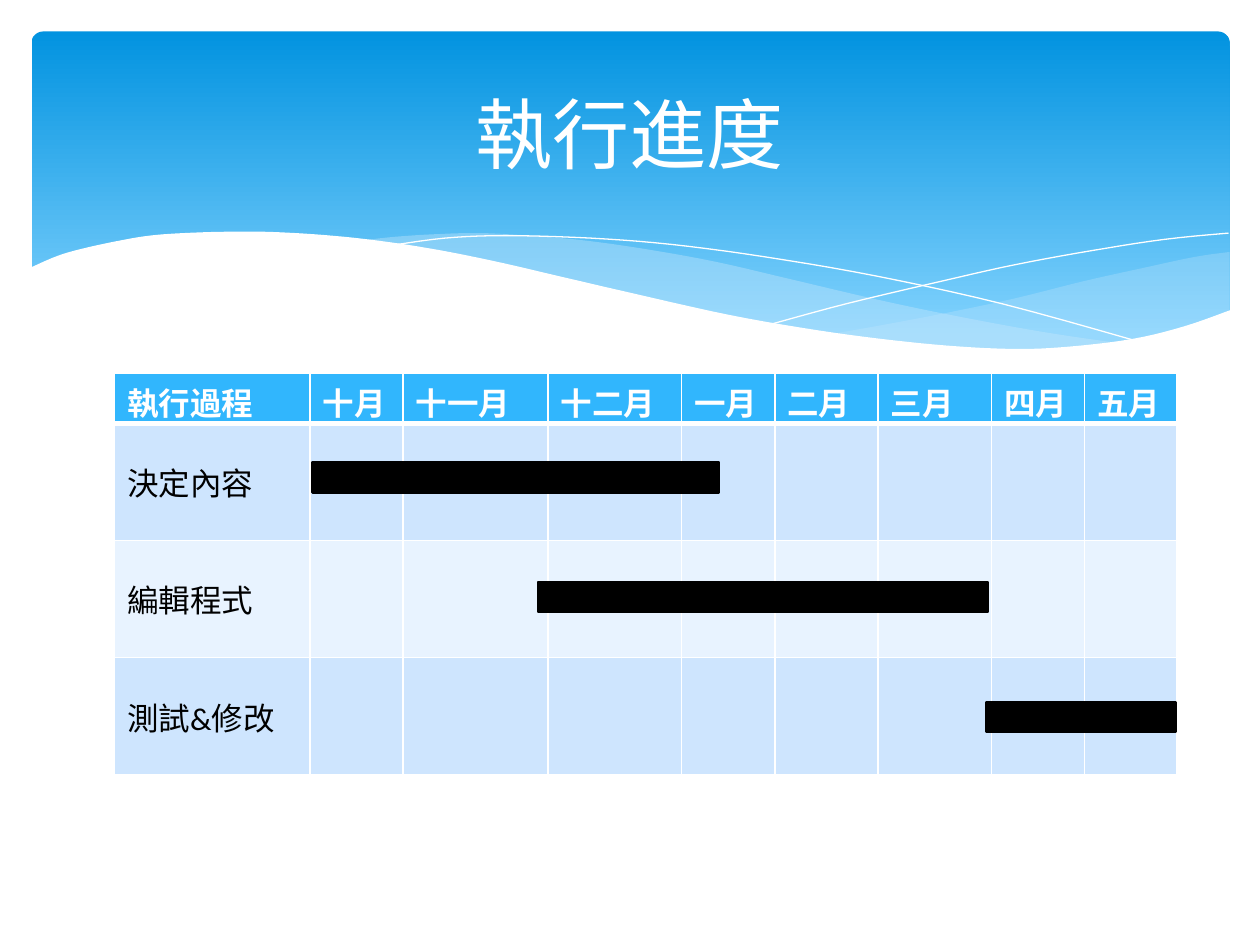
from lxml import etree
from pptx import Presentation
from pptx.dml.color import RGBColor
from pptx.enum.shapes import MSO_SHAPE
from pptx.enum.text import MSO_ANCHOR, PP_ALIGN
from pptx.oxml.ns import qn
from pptx.util import Inches, Pt

COLORS = {
    "sky_top": "0293E0", "sky_bottom": "83D3FE", "mist": "C6E7FC",
    "header": "31B6FD", "band_dark": "CEE5FE", "band_light": "E8F3FF",
    "white": "FFFFFF", "black": "000000",
}
FONT = "Calibri"
MONTHS = ["十月", "十一月", "十二月", "一月", "二月", "三月", "四月", "五月"]
TASKS = [("決定內容", 1.57, 3.23), ("編輯程式", 3.36, 3.57), ("測試&修改", 6.92, 1.5)]
COLUMN_WIDTHS = [1.55, 0.74, 1.15, 1.06, 0.74, 0.82, 0.9, 0.74, 0.73]
ROW_HEIGHTS = [0.39, 0.93, 0.93, 0.93]

RIGHT_MIST_TOP = [(9.76, 2), (9.48, 2.04), (9.06, 2.13), (8.61, 2.23), (8.05, 2.37),
                  (7.53, 2.48), (7.06, 2.57), (6.61, 2.65)]
RIGHT_MIST_BOTTOM = [(6.61, 2.65), (7.05, 2.71), (7.57, 2.76), (8.03, 2.78), (8.44, 2.77),
                     (8.81, 2.73), (9.13, 2.67), (9.42, 2.59), (9.76, 2.47)]
LEFT_MIST_TOP = [(8.93, 2.73), (8.37, 2.65), (7.75, 2.54), (7.06, 2.4), (6.29, 2.22),
                 (5.69, 2.08), (5.14, 1.98), (4.65, 1.91), (4.2, 1.87), (3.8, 1.85),
                 (3.44, 1.86), (3.13, 1.88), (2.86, 1.91)]
LEFT_MIST_BOTTOM = [(2.86, 1.91), (3.42, 1.99), (4.04, 2.11), (4.49, 2.22), (5.3, 2.4),
                    (6.01, 2.55), (6.65, 2.66), (7.22, 2.74), (7.73, 2.77), (8.18, 2.78),
                    (8.57, 2.77), (8.93, 2.73)]
FALLING_LINE = [(3.09, 1.95), (3.53, 1.89), (4.01, 1.87), (4.69, 1.89), (5.33, 1.94),
                (6.08, 2.04), (6.95, 2.19), (7.95, 2.41), (9.07, 2.72)]
RISING_LINE = [(6.13, 2.57), (6.72, 2.41), (7.48, 2.23), (8.06, 2.1), (8.66, 1.99),
               (9.24, 1.9), (9.75, 1.85)]
FRONT_WAVE = [(9.77, 2.46), (9.4, 2.59), (8.99, 2.69), (8.5, 2.75), (8.09, 2.77),
              (7.61, 2.75), (7.08, 2.7), (6.48, 2.62), (5.79, 2.5), (5.03, 2.33),
              (4.47, 2.2), (3.91, 2.07), (3.4, 1.97), (2.92, 1.9), (2.5, 1.86),
              (2.11, 1.84), (1.77, 1.84), (1.46, 1.85), (1.19, 1.87), (0.95, 1.91),
              (0.67, 1.97), (0.46, 2.03), (0.23, 2.13)]


def color(name):
    """Return the named colour."""
    return RGBColor.from_string(COLORS[name])


def smooth_curve(knots, steps=5):
    """Return points on a Catmull-Rom curve through the knots."""
    padded = [knots[0], *knots, knots[-1]]
    points = [knots[0]]
    for a, b, c, d in zip(padded, padded[1:], padded[2:], padded[3:]):
        for step in range(1, steps + 1):
            t = step / steps
            points.append(tuple(
                (2 * q + (r - p) * t + (2 * p - 5 * q + 4 * r - s) * t ** 2
                 + (3 * q - p - 3 * r + s) * t ** 3) / 2
                for p, q, r, s in zip(a, b, c, d)))
    return points


def add_outline(slide, left, top, points, closed):
    """Add a freeform through points measured from the given corner."""
    points = [(Inches(x), Inches(y)) for x, y in points]
    builder = slide.shapes.build_freeform(*points[0], scale=1.0)
    builder.add_line_segments(points[1:], close=closed)
    shape = builder.convert_to_shape(Inches(left), Inches(top))
    shape.shadow.inherit = False
    return shape


def add_area(slide, left, top, points, fill, opacity=100):
    """Add a filled outline without a line."""
    shape = add_outline(slide, left, top, points, True)
    shape.fill.solid()
    shape.fill.fore_color.rgb = color(fill)
    shape.line.fill.background()
    if opacity < 100:
        tint = shape.fill._xPr.find(".//" + qn("a:srgbClr"))
        etree.SubElement(tint, qn("a:alpha"), val=str(opacity * 1000))


def add_banner(slide, left, top, width):
    """Add the gradient panel with its waves and the title."""
    panel = slide.shapes.add_shape(
        MSO_SHAPE.ROUNDED_RECTANGLE, Inches(left + 0.25), Inches(top + 0.25),
        Inches(width - 0.49), Inches(2.7))
    panel.adjustments[0] = 0.034
    panel.shadow.inherit = False
    panel.line.fill.background()
    panel.fill.gradient()
    panel.fill.gradient_angle = 270
    for stop, name, position in zip(panel.fill.gradient_stops, ("sky_top", "sky_bottom"), (0, 0.9)):
        stop.color.rgb = color(name)
        stop.position = position

    for upper, lower, opacity in ((RIGHT_MIST_TOP, RIGHT_MIST_BOTTOM, 29),
                                  (LEFT_MIST_TOP, LEFT_MIST_BOTTOM, 40)):
        add_area(slide, left, top, smooth_curve(upper) + smooth_curve(lower), "mist", opacity)
    for knots in (FALLING_LINE, RISING_LINE):
        curve = add_outline(slide, left, top, smooth_curve(knots), False)
        curve.fill.background()
        curve.line.color.rgb = color("white")
        curve.line.width = Pt(0)
    corners = [(0.23, 3.29), (9.77, 3.29)]
    add_area(slide, left, top, smooth_curve(FRONT_WAVE) + corners, "white")

    title = slide.shapes.add_textbox(
        Inches(left + 0.5), Inches(top + 0.37), Inches(width - 1), Inches(1.37))
    title.text_frame.word_wrap = True
    title.text_frame.vertical_anchor = MSO_ANCHOR.MIDDLE
    paragraph = title.text_frame.paragraphs[0]
    paragraph.text = "執行進度"
    paragraph.alignment = PP_ALIGN.CENTER
    set_font(paragraph, 44, "white")


def set_font(paragraph, size, name, bold=False):
    """Set the font of a paragraph."""
    font = paragraph.font
    font.name, font.size, font.bold = FONT, Pt(size), bold
    font.color.rgb = color(name)


def set_borders(cell, row):
    """Draw white borders, thick between header and body."""
    properties = cell._tc.get_or_add_tcPr()
    thick = {0: "lnB", 1: "lnT"}.get(row)
    for side in ("lnL", "lnR", "lnT", "lnB"):
        width = Pt(3 if side == thick else 1)
        line = etree.SubElement(properties, qn("a:" + side), w=str(width))
        fill = etree.SubElement(line, qn("a:solidFill"))
        etree.SubElement(fill, qn("a:srgbClr"), val=COLORS["white"])


def add_schedule(slide, left, top):
    """Add the schedule table and a bar for each task."""
    table = slide.shapes.add_table(
        len(ROW_HEIGHTS), len(COLUMN_WIDTHS), Inches(left), Inches(top),
        Inches(sum(COLUMN_WIDTHS)), Inches(sum(ROW_HEIGHTS))).table
    for column, width in zip(table.columns, COLUMN_WIDTHS):
        column.width = Inches(width)
    for row, height in zip(table.rows, ROW_HEIGHTS):
        row.height = Inches(height)

    blanks = [""] * len(MONTHS)
    texts = [["執行過程", *MONTHS]] + [[name, *blanks] for name, _, _ in TASKS]
    fills = ["header", "band_dark", "band_light", "band_dark"]
    for row, (words, fill) in enumerate(zip(texts, fills)):
        for column, word in enumerate(words):
            cell = table.cell(row, column)
            set_borders(cell, row)
            cell.fill.solid()
            cell.fill.fore_color.rgb = color(fill)
            if row:
                cell.vertical_anchor = MSO_ANCHOR.MIDDLE
            paragraph = cell.text_frame.paragraphs[0]
            paragraph.text = word
            set_font(paragraph, 18, "black" if row else "white", bold=row == 0)

    for index, (_, start, length) in enumerate(TASKS):
        bar = slide.shapes.add_shape(
            MSO_SHAPE.RECTANGLE, Inches(left + start), Inches(top + 0.71 + 0.95 * index),
            Inches(length), Inches(0.24))
        bar.shadow.inherit = False
        bar.fill.solid()
        bar.fill.fore_color.rgb = color("black")
        bar.line.color.rgb = color("black")
        bar.line.width = Pt(1.25)


def main():
    """Build and save the presentation."""
    presentation = Presentation()
    presentation.slide_width, presentation.slide_height = Inches(10), Inches(7.5)
    slide = presentation.slides.add_slide(presentation.slide_layouts[6])
    add_banner(slide, 0, 0, 10)
    add_schedule(slide, 0.91, 2.96)
    presentation.save("out.pptx")


main()
